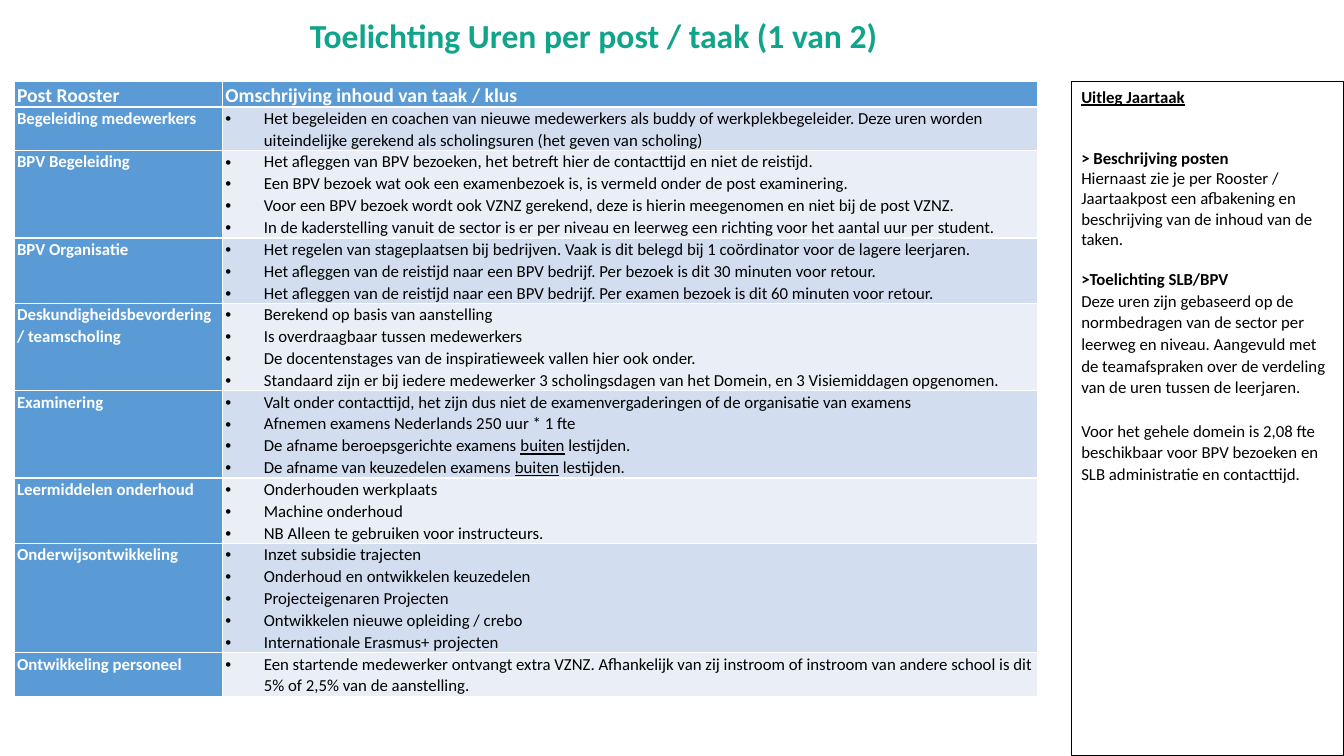
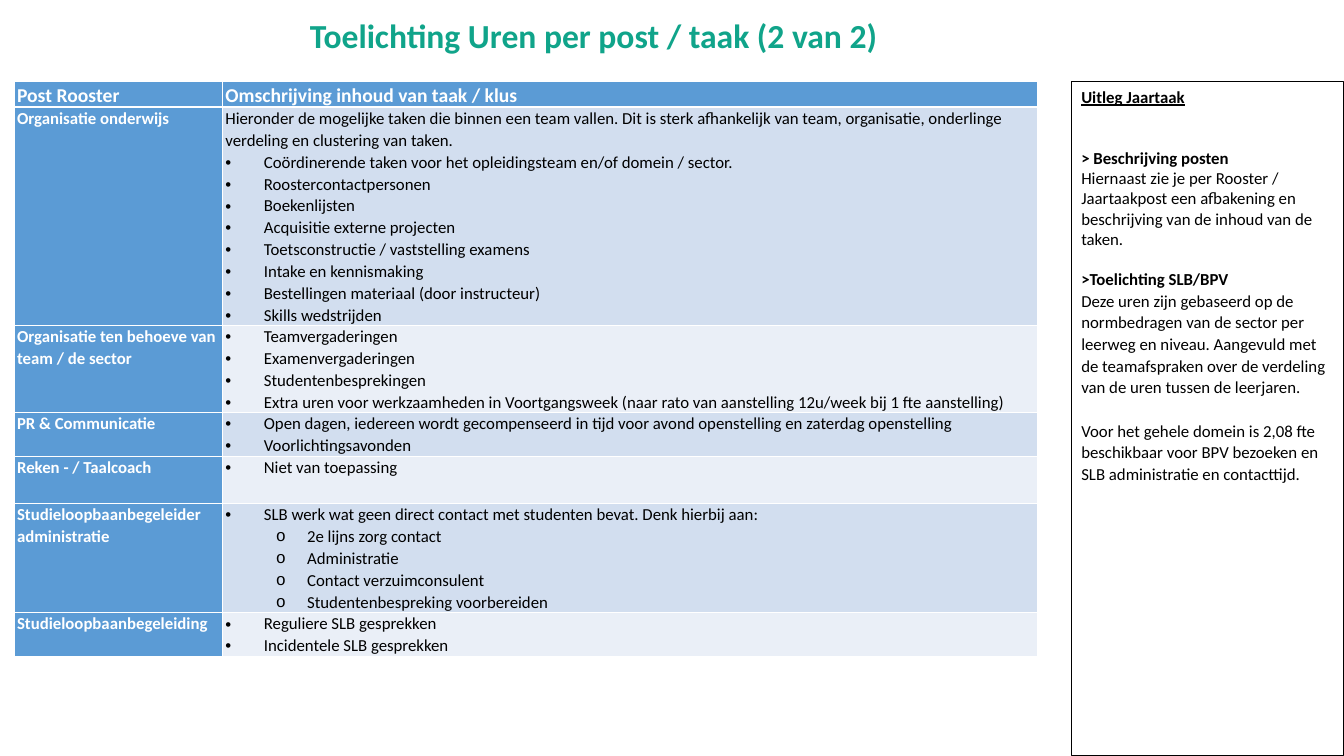
from dataclasses import dataclass, field
from math import ceil

from lxml import etree
from pptx import Presentation
from pptx.dml.color import RGBColor
from pptx.enum import shapes, text
from pptx.oxml.ns import qn
from pptx.util import Cm, Pt

COLORS = {
    "title": "10A48A",
    "post": "5B9BD5",
    "band_dark": "D2DEEF",
    "band_light": "EAEFF7",
    "white": "FFFFFF",
    "black": "000000",
}
FONT = "Calibri"
LINE_CM = 0.55
CHARS_PER_LINE = 125
TABLE_SPACING = 1.07
HEADINGS = ("Post Rooster", "Omschrijving inhoud van taak / klus")
COLUMNS_CM = (5.25, 20.55)


@dataclass
class Post:
    """A table row; tasks are bullets, subtasks hang below the last of them."""
    name: str
    tasks: list
    subtasks: list = field(default_factory=list)
    intro: str = ""
    min_cm: float = 0

    def height_cm(self):
        entries = [self.intro, *self.tasks, *self.subtasks]
        lines = sum(ceil(len(entry) / CHARS_PER_LINE) for entry in entries)
        return max(lines * LINE_CM, self.min_cm)


POSTS_1 = [
    Post("Begeleiding medewerkers", [
        "Het begeleiden en coachen van nieuwe medewerkers als buddy of werkplekbegeleider. "
        "Deze uren worden uiteindelijke gerekend als scholingsuren (het geven van scholing)",
    ]),
    Post("BPV Begeleiding", [
        "Het afleggen van BPV bezoeken, het betreft hier de contacttijd en niet de reistijd.",
        "Een BPV bezoek wat ook een examenbezoek is, is vermeld onder de post examinering.",
        "Voor een BPV bezoek wordt ook VZNZ gerekend, deze is hierin meegenomen en niet bij de post VZNZ.",
        "In de kaderstelling vanuit de sector is er per niveau en leerweg een richting "
        "voor het aantal uur per student.",
    ]),
    Post("BPV Organisatie", [
        "Het regelen van stageplaatsen bij bedrijven. Vaak is dit belegd bij 1 coördinator "
        "voor de lagere leerjaren.",
        "Het afleggen van de reistijd naar een BPV bedrijf. Per bezoek is dit 30 minuten voor retour.",
        "Het afleggen van de reistijd naar een BPV bedrijf. Per examen bezoek is dit 60 minuten voor retour.",
    ]),
    Post("Deskundigheidsbevordering / teamscholing", [
        "Berekend op basis van aanstelling",
        "Is overdraagbaar tussen medewerkers",
        "De docentenstages van de inspiratieweek vallen hier ook onder.",
        "Standaard zijn er bij iedere medewerker 3 scholingsdagen van het Domein, "
        "en 3 Visiemiddagen opgenomen.",
    ]),
    Post("Examinering", [
        "Valt onder contacttijd, het zijn dus niet de examenvergaderingen of de organisatie van examens",
        "Afnemen examens Nederlands 250 uur * 1 fte",
        "De afname beroepsgerichte examens _buiten_ lestijden.",
        "De afname van keuzedelen examens _buiten_ lestijden.",
    ]),
    Post("Leermiddelen onderhoud", [
        "Onderhouden werkplaats",
        "Machine onderhoud",
        "NB Alleen te gebruiken voor instructeurs.",
    ]),
    Post("Onderwijsontwikkeling", [
        "Inzet subsidie trajecten",
        "Onderhoud en ontwikkelen keuzedelen",
        "Projecteigenaren Projecten",
        "Ontwikkelen nieuwe opleiding / crebo",
        "Internationale Erasmus+ projecten",
    ]),
    Post("Ontwikkeling personeel", [
        "Een startende medewerker ontvangt extra VZNZ. Afhankelijk van zij instroom of instroom "
        "van andere school is dit 5% of 2,5% van de aanstelling.",
    ]),
]

POSTS_2 = [
    Post("Organisatie onderwijs", [
        "Coördinerende taken voor het opleidingsteam en/of domein / sector.",
        "Roostercontactpersonen",
        "Boekenlijsten",
        "Acquisitie externe projecten",
        "Toetsconstructie / vaststelling examens",
        "Intake en kennismaking",
        "Bestellingen materiaal (door instructeur)",
        "Skills wedstrijden",
    ], intro="Hieronder de mogelijke taken die binnen een team vallen. Dit is sterk afhankelijk van "
             "team, organisatie, onderlinge verdeling en clustering van taken."),
    Post("Organisatie ten behoeve van team / de sector", [
        "Teamvergaderingen",
        "Examenvergaderingen",
        "Studentenbesprekingen",
        "Extra uren voor werkzaamheden in Voortgangsweek "
        "(naar rato van aanstelling 12u/week bij 1 fte aanstelling)",
    ]),
    Post("PR & Communicatie", [
        "Open dagen, iedereen wordt gecompenseerd in tijd voor avond openstelling en zaterdag openstelling",
        "Voorlichtingsavonden",
    ]),
    Post("Reken - / Taalcoach", ["Niet van toepassing"], min_cm=1.19),
    Post("Studieloopbaanbegeleider administratie", [
        "SLB werk wat geen direct contact met studenten bevat. Denk hierbij aan:",
    ], subtasks=[
        "2e lijns zorg contact",
        "Administratie",
        "Contact verzuimconsulent",
        "Studentenbespreking voorbereiden",
    ]),
    Post("Studieloopbaanbegeleiding", [
        "Reguliere SLB gesprekken",
        "Incidentele SLB gesprekken",
    ]),
]

# text, bold, underline, space before (pt), line spacing
EXPLANATION = [
    ("Uitleg Jaartaak", True, True, 0, 1.0),
    ("> Beschrijving posten", True, False, 29.3, 1.0),
    ("Hiernaast zie je per Rooster / Jaartaakpost een afbakening en beschrijving van de "
     "inhoud van de taken.", False, False, 0, 1.0),
    (">Toelichting SLB/BPV", True, False, 14.6, 1.0),
    ("Deze uren zijn gebaseerd op de normbedragen van de sector per leerweg en niveau. "
     "Aangevuld met de teamafspraken over de verdeling van de uren tussen de leerjaren.",
     False, False, 0, TABLE_SPACING),
    ("Voor het gehele domein is 2,08 fte beschikbaar voor BPV bezoeken en SLB administratie "
     "en contacttijd.", False, False, 15.7, TABLE_SPACING),
]


def rgb(name):
    return RGBColor.from_string(COLORS[name])


def style(paragraph, size=12, color="black", bold=False, underline=None, spacing=1.0):
    paragraph.line_spacing = spacing
    font = paragraph.font
    font.name, font.size, font.bold = FONT, Pt(size), bold
    font.underline = underline
    font.color.rgb = rgb(color)


def next_paragraph(frame):
    """Give the first paragraph while it is empty, otherwise a new one."""
    first = frame.paragraphs[0]
    return frame.add_paragraph() if first.runs else first


def add_bullet(paragraph, char, typeface, left_cm, hanging_cm):
    properties = paragraph._p.get_or_add_pPr()
    properties.set("marL", str(Cm(left_cm)))
    properties.set("indent", str(-Cm(hanging_cm)))
    etree.SubElement(properties, qn("a:buFont"), typeface=typeface)
    etree.SubElement(properties, qn("a:buChar"), char=char)


def write_marked(paragraph, marked):
    """Write text in which _word_ is underlined."""
    for index, part in enumerate(marked.split("_")):
        run = paragraph.add_run()
        run.text = part
        if index % 2:
            run.font.underline = True


def add_title(slide, title):
    box = slide.shapes.add_textbox(Cm(0.36), Cm(0.18), Cm(29.2), Cm(1.55))
    frame = box.text_frame
    frame.word_wrap = True
    frame.vertical_anchor = text.MSO_ANCHOR.MIDDLE
    paragraph = frame.paragraphs[0]
    paragraph.text = title
    paragraph.alignment = text.PP_ALIGN.CENTER
    style(paragraph, size=24, color="title", bold=True, spacing=0.9)


def add_explanation(slide):
    panel = slide.shapes.add_shape(
        shapes.MSO_SHAPE.RECTANGLE, Cm(27), Cm(2.06), Cm(6.86), Cm(16.99))
    panel.shadow.inherit = False
    panel.fill.background()
    panel.line.color.rgb = rgb("black")
    panel.line.width = Pt(0.75)
    frame = panel.text_frame
    frame.word_wrap = True
    frame.vertical_anchor = text.MSO_ANCHOR.TOP
    for words, bold, underline, before, spacing in EXPLANATION:
        paragraph = next_paragraph(frame)
        paragraph.text = words
        paragraph.alignment = text.PP_ALIGN.LEFT
        if before:
            paragraph.space_before = Pt(before)
        style(paragraph, bold=bold, underline=underline, spacing=spacing)


def prepare_cell(cell, fill):
    cell.fill.solid()
    cell.fill.fore_color.rgb = rgb(fill)
    cell.margin_left = cell.margin_right = Cm(0.07)
    cell.margin_top = cell.margin_bottom = 0


def fill_label(cell, label, size=12):
    prepare_cell(cell, "post")
    paragraph = cell.text_frame.paragraphs[0]
    paragraph.text = label
    style(paragraph, size=size, color="white", bold=True, spacing=TABLE_SPACING)


def fill_description(cell, post, fill):
    prepare_cell(cell, fill)
    entries = [(post.intro, None)] if post.intro else []
    entries += [(task, ("•", "Arial", 0.97, 0.97)) for task in post.tasks]
    entries += [(task, ("o", "Courier New", 2.06, 0.79)) for task in post.subtasks]
    for words, bullet in entries:
        paragraph = next_paragraph(cell.text_frame)
        write_marked(paragraph, words)
        if bullet:
            add_bullet(paragraph, *bullet)
        style(paragraph, spacing=TABLE_SPACING)


def add_posts(slide, posts):
    heights = [0.63] + [post.height_cm() for post in posts]
    table = slide.shapes.add_table(
        len(heights), len(HEADINGS), Cm(0.36), Cm(2.06),
        Cm(sum(COLUMNS_CM)), Cm(sum(heights))).table
    table.first_col = True
    for column, width in zip(table.columns, COLUMNS_CM):
        column.width = Cm(width)
    for row, height in zip(table.rows, heights):
        row.height = Cm(height)
    for column, heading in enumerate(HEADINGS):
        fill_label(table.cell(0, column), heading, size=14)
    table.cell(0, 0).vertical_anchor = text.MSO_ANCHOR.BOTTOM
    for row, post in enumerate(posts, start=1):
        fill_label(table.cell(row, 0), post.name)
        fill_description(table.cell(row, 1), post, "band_dark" if row % 2 else "band_light")


def main():
    deck = Presentation()
    deck.slide_width, deck.slide_height = Cm(33.87), Cm(19.05)
    pages = (POSTS_1, POSTS_2)
    for number, posts in enumerate(pages, start=1):
        slide = deck.slides.add_slide(deck.slide_layouts[6])
        add_title(slide, f"Toelichting Uren per post / taak ({number} van {len(pages)})")
        add_explanation(slide)
        add_posts(slide, posts)
    deck.save("out.pptx")


if __name__ == "__main__":
    main()
